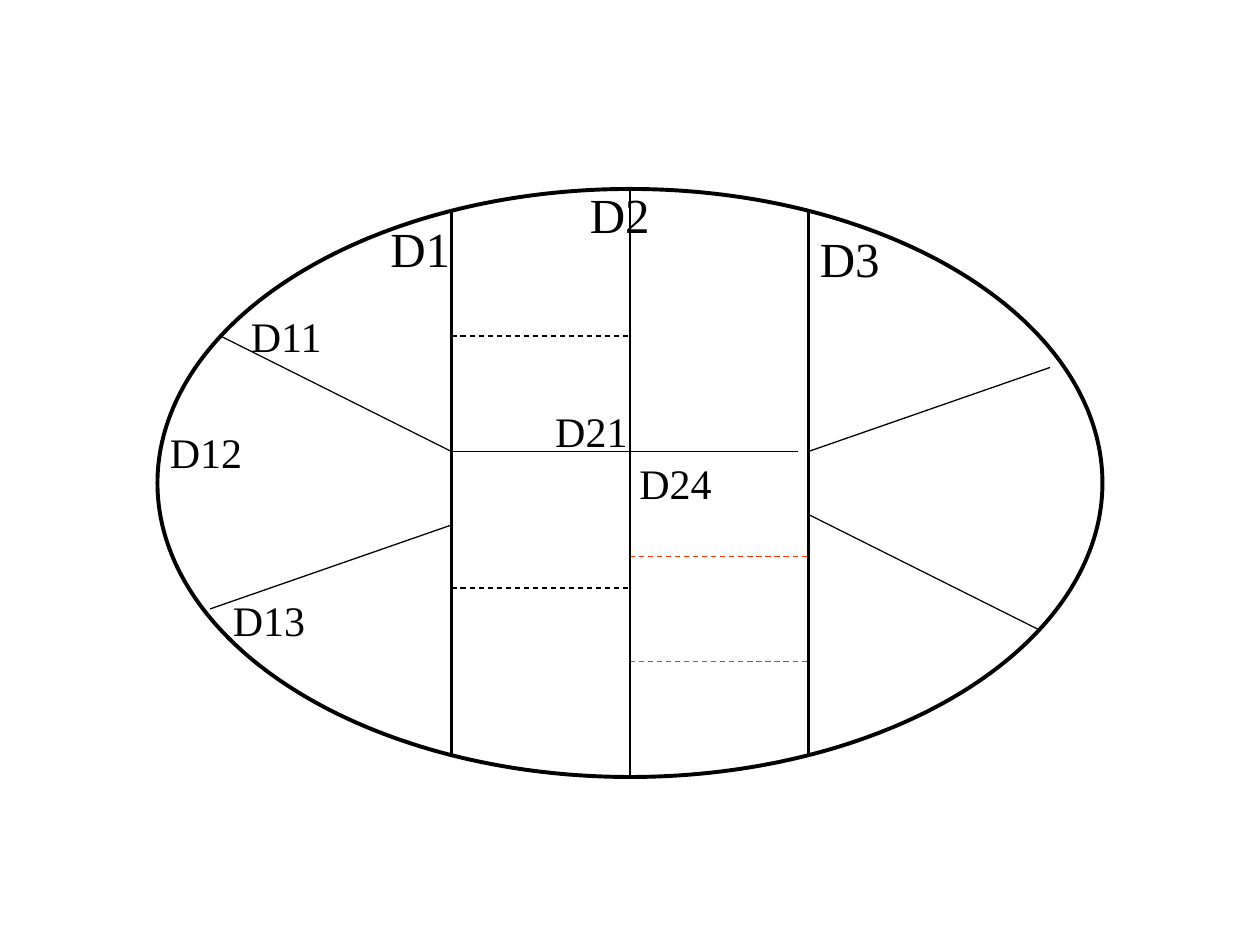
from dataclasses import dataclass

import pptx
import pptx.dml.color
import pptx.enum.dml
import pptx.enum.shapes
import pptx.enum.text
import pptx.oxml.ns
import pptx.slide
import pptx.util
from lxml import etree

EMU_PER_PX = 7620


@dataclass(frozen=True)
class Theme:
    ink: str = "000000"
    accent: str = "FF3300"
    font: str = "Times New Roman"
    region_size: int = 28
    part_size: int = 24
    thin: float = 0.75
    thick: float = 2.25


THEME = Theme()


@dataclass(frozen=True)
class Divider:
    x1: int
    y1: int
    x2: int
    y2: int
    width: float = THEME.thin
    color: str = THEME.ink
    dashed: bool = False


@dataclass(frozen=True)
class Label:
    text: str
    left: int
    top: int
    width: int = 95
    height: int = 60
    size: int = THEME.part_size


LEFT, MIDDLE, RIGHT = 430, 600, 770
TOP, BOTTOM = 180, 740

BORDERS = [Divider(x, 200, x, 720, THEME.thick) for x in (LEFT, RIGHT)]
LEFT_DASHES = [Divider(LEFT, y, MIDDLE, y, dashed=True) for y in (560, 320)]
RIGHT_DASHES = [
    Divider(MIDDLE, y, RIGHT, y, color=THEME.accent, dashed=True) for y in (630, 530)
]
SPOKES = [
    Divider(RIGHT, 490, 990, 600),
    Divider(1000, 350, RIGHT, 430),
    Divider(210, 320, LEFT, 430),
    Divider(LEFT, 500, 200, 580),
]
CROSS = [Divider(LEFT, 430, 760, 430), Divider(MIDDLE, TOP, MIDDLE, BOTTOM)]

REGIONS = [
    Label(text, left, top, 84, 68, THEME.region_size)
    for text, left, top in (("D1", 360, 202), ("D2", 550, 170), ("D3", 769, 212))
]
PARTS = [
    Label("D21", 517, 380),
    Label("D24", 597, 430),
    Label("D11", 227, 290),
    Label("D12", 150, 400),
    Label("D13", 210, 560),
]


def px(value: int) -> pptx.util.Emu:
    return pptx.util.Emu(value * EMU_PER_PX)


def rgb(color: str) -> pptx.dml.color.RGBColor:
    return pptx.dml.color.RGBColor.from_string(color)


def draw_domain(slide: pptx.slide.Slide) -> None:
    shape = slide.shapes.add_shape(
        pptx.enum.shapes.MSO_SHAPE.OVAL, px(150), px(TOP), px(900), px(BOTTOM - TOP)
    )
    shape.shadow.inherit = False
    shape.fill.background()
    shape.line.color.rgb = rgb(THEME.ink)
    shape.line.width = pptx.util.Pt(THEME.thick)


def draw_divider(slide: pptx.slide.Slide, divider: Divider) -> None:
    connector = slide.shapes.add_connector(
        pptx.enum.shapes.MSO_CONNECTOR.STRAIGHT,
        px(divider.x1), px(divider.y1), px(divider.x2), px(divider.y2),
    )
    connector.line.color.rgb = rgb(divider.color)
    connector.line.width = pptx.util.Pt(divider.width)
    if divider.dashed:
        connector.line.dash_style = pptx.enum.dml.MSO_LINE.DASH
    properties = connector.element.spPr
    etree.SubElement(properties, pptx.oxml.ns.qn("a:effectLst"))


def draw_label(slide: pptx.slide.Slide, label: Label) -> None:
    shape = slide.shapes.add_textbox(
        px(label.left), px(label.top), px(label.width), px(label.height)
    )
    text_frame = shape.text_frame
    text_frame.word_wrap = False
    text_frame.auto_size = pptx.enum.text.MSO_AUTO_SIZE.NONE
    text_frame.text = label.text
    font = text_frame.paragraphs[0].runs[0].font
    font.name = THEME.font
    font.size = pptx.util.Pt(label.size)
    font.color.rgb = rgb(THEME.ink)


def main() -> None:
    presentation = pptx.Presentation()
    presentation.slide_width = px(1200)
    presentation.slide_height = px(900)
    slide = presentation.slides.add_slide(presentation.slide_layouts[6])
    draw_domain(slide)
    for divider in SPOKES + LEFT_DASHES + RIGHT_DASHES + BORDERS + CROSS:
        draw_divider(slide, divider)
    for label in REGIONS + PARTS:
        draw_label(slide, label)
    presentation.save("out.pptx")


if __name__ == "__main__":
    main()
